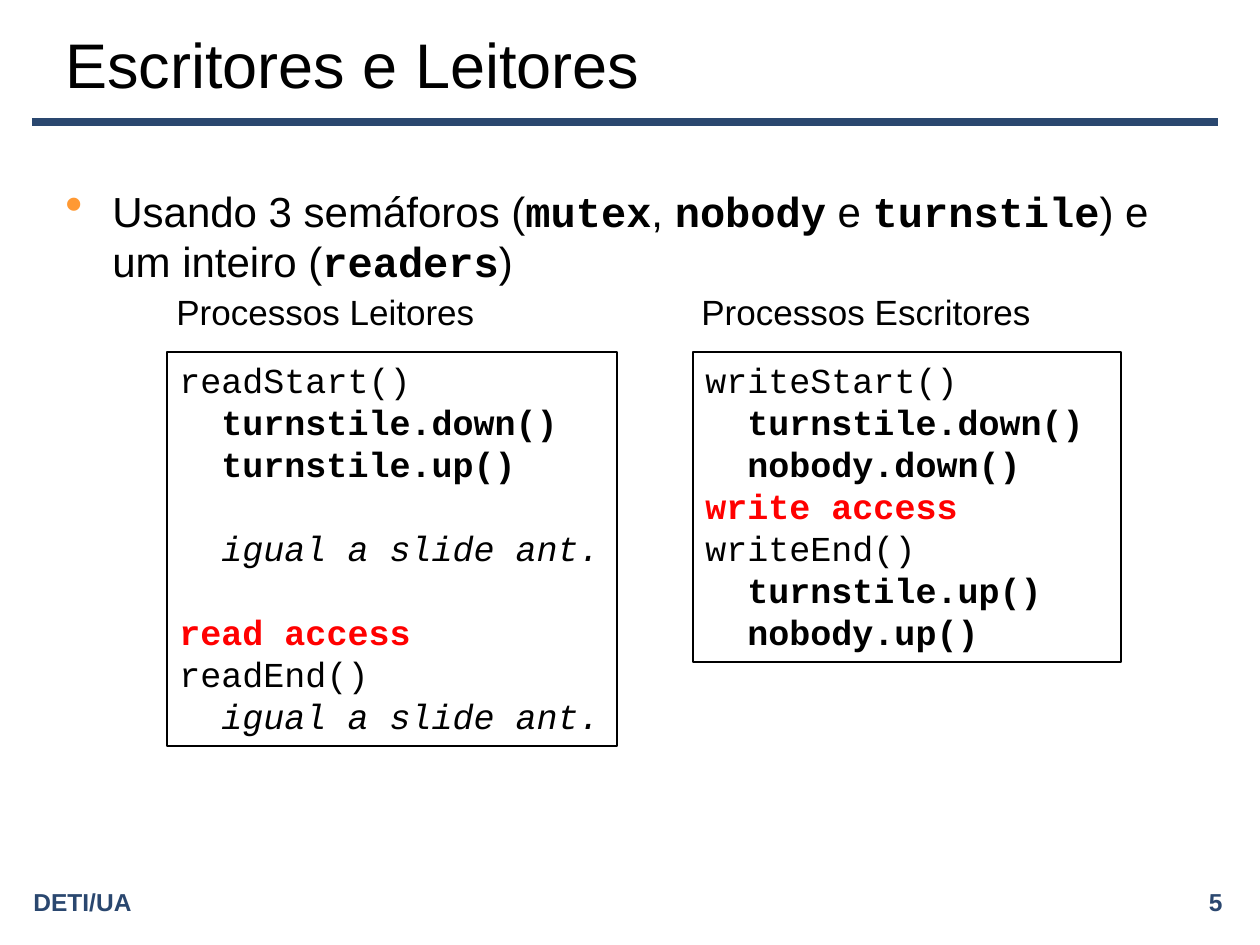
import pptx
import pptx.util
import pptx.dml.color
import pptx.enum.shapes
import pptx.enum.text
import pptx.oxml.ns
from lxml import etree

PX = 914400 // 126
BLACK, NAVY, RED, ORANGE = "000000", "2A476F", "FF0000", "FF9933"
SANS, MONO = "Arial", "Courier New"
ALIGN = pptx.enum.text.PP_ALIGN
ANCHOR = pptx.enum.text.MSO_ANCHOR


def color(value):
    return pptx.dml.color.RGBColor.from_string(value)


def add_xml(parent, tag, **attributes):
    return etree.SubElement(parent, pptx.oxml.ns.qn(tag), attributes)


class SlideBuilder:
    """Holds the current slide and draws its elements, with lengths in px."""

    def __init__(self, page):
        self.page = page

    def style(self, span, size, font=SANS, ink=BLACK, bold=False, italic=False):
        span.font.size = pptx.util.Pt(size)
        span.font.name = font
        span.font.color.rgb = color(ink)
        span.font.bold = bold
        span.font.italic = italic

    def rule(self, left, right, y, width):
        line = self.page.shapes.add_connector(
            pptx.enum.shapes.MSO_CONNECTOR.STRAIGHT, left * PX, y * PX, right * PX, y * PX)
        line.line.color.rgb = color(NAVY)
        line.line.width = pptx.util.Pt(width)
        add_xml(line._element.spPr, "a:effectLst")

    def text(self, left, top, width, height, words, size, ink=BLACK, bold=False,
             align=ALIGN.LEFT, anchor=ANCHOR.MIDDLE, wrap=True):
        box = self.page.shapes.add_textbox(left * PX, top * PX, width * PX, height * PX)
        frame = box.text_frame
        frame.word_wrap = wrap
        frame.vertical_anchor = anchor
        frame.text = words
        para = frame.paragraphs[0]
        para.alignment = align
        self.style(para.runs[0], size, ink=ink, bold=bold)

    def bullet(self, left, top, width, height, pieces, size):
        """Pieces alternate between plain words and identifiers."""
        box = self.page.shapes.add_textbox(left * PX, top * PX, width * PX, height * PX)
        box.text_frame.word_wrap = True
        para = box.text_frame.paragraphs[0]
        for index, piece in enumerate(pieces):
            span = para.add_run()
            span.text = piece
            is_name = index % 2 == 1
            self.style(span, size, MONO if is_name else SANS, bold=is_name)
        para.space_before = pptx.util.Pt(size * 0.2)
        props = para._p.get_or_add_pPr()
        props.set("marL", str(47 * PX))
        props.set("indent", str(-47 * PX))
        add_xml(add_xml(props, "a:buClr"), "a:srgbClr", val=ORANGE)
        add_xml(props, "a:buSzPct", val="120000")
        add_xml(props, "a:buChar", char="•")

    def code(self, left, top, width, height, lines, size=20):
        """Each line is (kind, words, number of empty lines above it)."""
        looks = {"head": {}, "call": {"bold": True}, "note": {"italic": True},
                 "access": {"bold": True, "ink": RED}}
        box = self.page.shapes.add_shape(
            pptx.enum.shapes.MSO_SHAPE.RECTANGLE, left * PX, top * PX, width * PX, height * PX)
        box.shadow.inherit = False
        box.fill.background()
        box.line.color.rgb = color(BLACK)
        box.line.width = pptx.util.Pt(1.25)
        frame = box.text_frame
        frame.word_wrap = False
        frame.vertical_anchor = ANCHOR.TOP
        frame.text = "\n".join(words for kind, words, gap in lines)
        for para, (kind, words, gap) in zip(frame.paragraphs, lines):
            para.alignment = ALIGN.LEFT
            para.line_spacing = pptx.util.Pt(24)
            para.space_before = pptx.util.Pt(24 * gap)
            if kind in ("call", "note"):
                para._p.get_or_add_pPr().set("marL", str(42 * PX))
            self.style(para.runs[0], size, MONO, **looks[kind])


def main():
    deck = pptx.Presentation()
    deck.slide_width, deck.slide_height = pptx.util.Inches(10), pptx.util.Inches(7.5)
    slide = SlideBuilder(deck.slides.add_slide(deck.slide_layouts[6]))

    # Heading and footer
    slide.rule(32, 1218, 122, 4.5)
    slide.text(746, 882, 489, 39, "5", 14, NAVY, True, ALIGN.RIGHT)
    slide.text(21, 882, 489, 39, "DETI/UA", 14, NAVY, True)
    slide.text(53, 21, 1103, 84, "Escritores e Leitores", 36)

    # Introduction
    slide.bullet(53, 179, 1134, 624, [
        "Usando 3 semáforos (", "mutex", ", ", "nobody", " e ", "turnstile",
        ") e um inteiro (", "readers", ")"], 24)

    # Readers and writers
    for left, width, words in [(164, 326, "Processos Leitores"),
                               (689, 358, "Processos Escritores")]:
        slide.text(left, 284, width, 55, words, 20, anchor=ANCHOR.TOP, wrap=False)
    slide.code(167, 352, 450, 394, [
        ("head", "readStart()", 0),
        ("call", "turnstile.down()", 0),
        ("call", "turnstile.up()", 0),
        ("note", "igual a slide ant.", 1),
        ("access", "read access", 1),
        ("head", "readEnd()", 0),
        ("note", "igual a slide ant.", 0)])
    slide.code(693, 352, 428, 310, [
        ("head", "writeStart()", 0),
        ("call", "turnstile.down()", 0),
        ("call", "nobody.down()", 0),
        ("access", "write access", 0),
        ("head", "writeEnd()", 0),
        ("call", "turnstile.up()", 0),
        ("call", "nobody.up()", 0)])

    deck.save("out.pptx")


if __name__ == "__main__":
    main()
